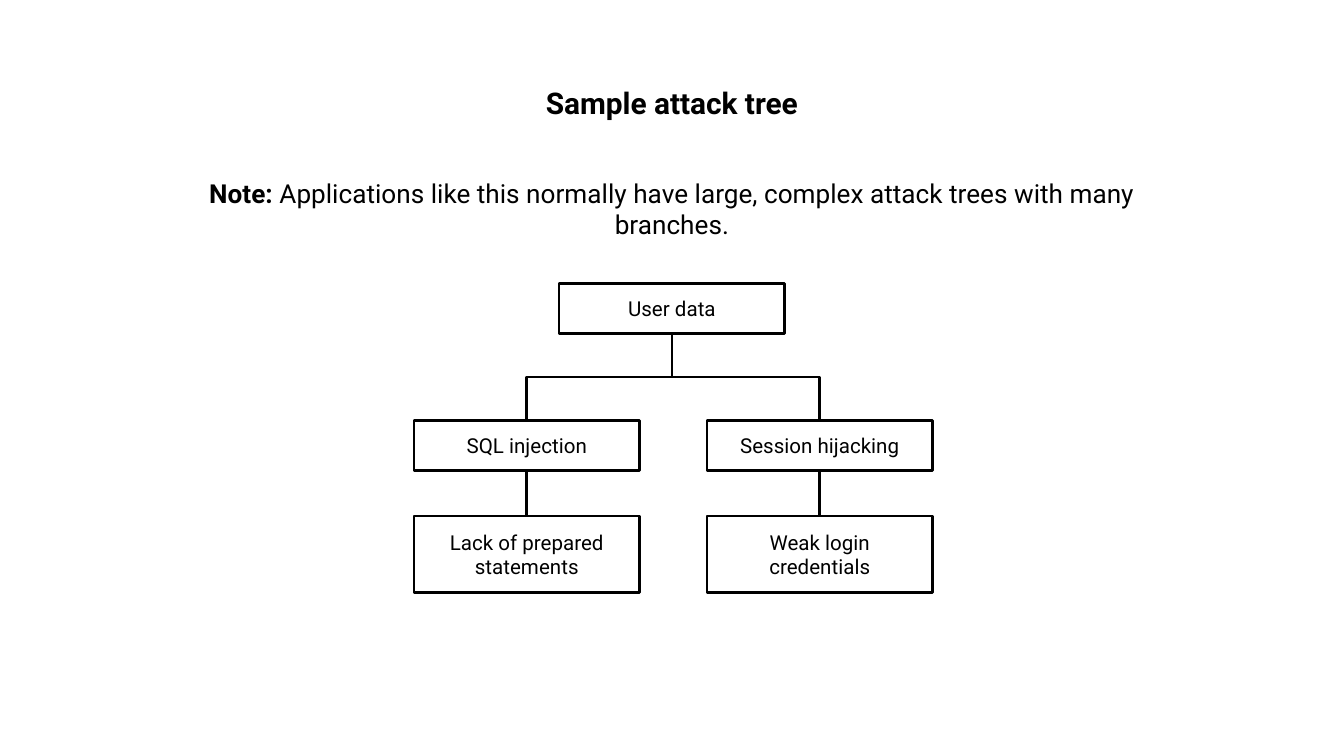
from lxml.etree import SubElement
from pptx import Presentation
from pptx.dml.color import RGBColor
from pptx.enum.shapes import MSO_CONNECTOR as Connector, MSO_SHAPE as Preset
from pptx.enum.text import MSO_ANCHOR as Anchor, MSO_AUTO_SIZE as AutoSize, PP_ALIGN as Align
from pptx.oxml.ns import qn
from pptx.util import Inches, Pt

COLORS = {"ink": "000000", "paper": "FFFFFF"}
FONT = "Roboto"
TITLE = "Sample attack tree"
NOTE = [("Note: ", True),
        ("Applications like this normally have large, complex attack trees with many branches.", False)]
ROOT = "User data"
BRANCHES = [("SQL injection", "Lack of prepared statements"),
            ("Session hijacking", "Weak login credentials")]

SLIDE_WIDTH = 10
SLIDE_HEIGHT = SLIDE_WIDTH * 9 / 16
CENTER, BRANCH_LEFT, BRANCH_STEP = SLIDE_WIDTH / 2, 3.08, 2.18
NODE_WIDTH, NODE_HEIGHT, LEAF_HEIGHT = 1.68, 0.37, 0.57
ROOT_TOP, THREAT_TOP, LEAF_TOP = 2.11, 3.13, 3.84
TEXT_LEFT, TEXT_WIDTH = 1.3, 7.4


def color(name):
    return RGBColor.from_string(COLORS[name])


def write(shape, spans, *, size, anchor=Anchor.TOP, inset=0.1):
    """Fill a shape with centred spans of (text, bold)."""
    frame = shape.text_frame
    frame.word_wrap = True
    frame.auto_size = AutoSize.SHAPE_TO_FIT_TEXT
    frame.vertical_anchor = anchor
    frame.margin_left = frame.margin_right = Inches(0.1)
    frame.margin_top = frame.margin_bottom = Inches(inset)
    para = frame.paragraphs[0]
    para.alignment = Align.CENTER
    for text, bold in spans:
        span = para.add_run()
        span.text = text
        span.font.name = FONT
        span.font.size = Pt(size)
        span.font.bold = bold
        span.font.color.rgb = color("ink")


def add_node(page, text, left, top, height, inset):
    box = page.shapes.add_shape(Preset.RECTANGLE, Inches(left), Inches(top),
                                Inches(NODE_WIDTH), Inches(height))
    box.shadow.inherit = False
    box.fill.background()
    box.line.color.rgb = color("ink")
    box.line.width = Pt(1.5)
    write(box, [(text, False)], size=11, anchor=Anchor.MIDDLE, inset=inset)


def add_link(page, kind, *ends):
    link = page.shapes.add_connector(kind, *(Inches(end) for end in ends))
    link.line.color.rgb = color("ink")
    link.line.width = Pt(1.5)
    SubElement(link._element.spPr, qn("a:effectLst"))
    return link


def add_fork(page, start_x, start_y, end_x, end_y):
    """Draw an elbow that leaves downwards, as a sideways elbow turned by 90 degrees."""
    middle_x, middle_y = (start_x + end_x) / 2, (start_y + end_y) / 2
    drop, run = (end_y - start_y) / 2, (start_x - end_x) / 2
    link = add_link(page, Connector.ELBOW, middle_x - drop, middle_y - run,
                    middle_x + drop, middle_y + run)
    link._element.spPr.find(qn("a:xfrm")).set("rot", str(90 * 60000))


def main():
    deck = Presentation()
    deck.slide_width, deck.slide_height = Inches(SLIDE_WIDTH), Inches(SLIDE_HEIGHT)
    page = deck.slides.add_slide(deck.slide_layouts[5])
    page.background.fill.solid()
    page.background.fill.fore_color.rgb = color("paper")

    title = page.shapes.title
    title.left, title.top = Inches(TEXT_LEFT), Inches(0.53)
    title.width, title.height = Inches(TEXT_WIDTH), Inches(0.47)
    write(title, [(TITLE, True)], size=16)
    note = page.shapes.add_textbox(Inches(TEXT_LEFT), Inches(1.22),
                                   Inches(TEXT_WIDTH), Inches(0.67))
    write(note, NOTE, size=14)

    add_node(page, ROOT, CENTER - NODE_WIDTH / 2, ROOT_TOP, NODE_HEIGHT, 0.09)
    for index, (threat, weakness) in enumerate(BRANCHES):
        left = BRANCH_LEFT + index * BRANCH_STEP
        middle = left + NODE_WIDTH / 2
        add_fork(page, CENTER, ROOT_TOP + NODE_HEIGHT, middle, THREAT_TOP)
        add_node(page, threat, left, THREAT_TOP, NODE_HEIGHT, 0.09)
        add_link(page, Connector.STRAIGHT, middle, THREAT_TOP + NODE_HEIGHT, middle, LEAF_TOP)
        add_node(page, weakness, left, LEAF_TOP, LEAF_HEIGHT, 0.1)

    deck.save("out.pptx")


if __name__ == "__main__":
    main()
